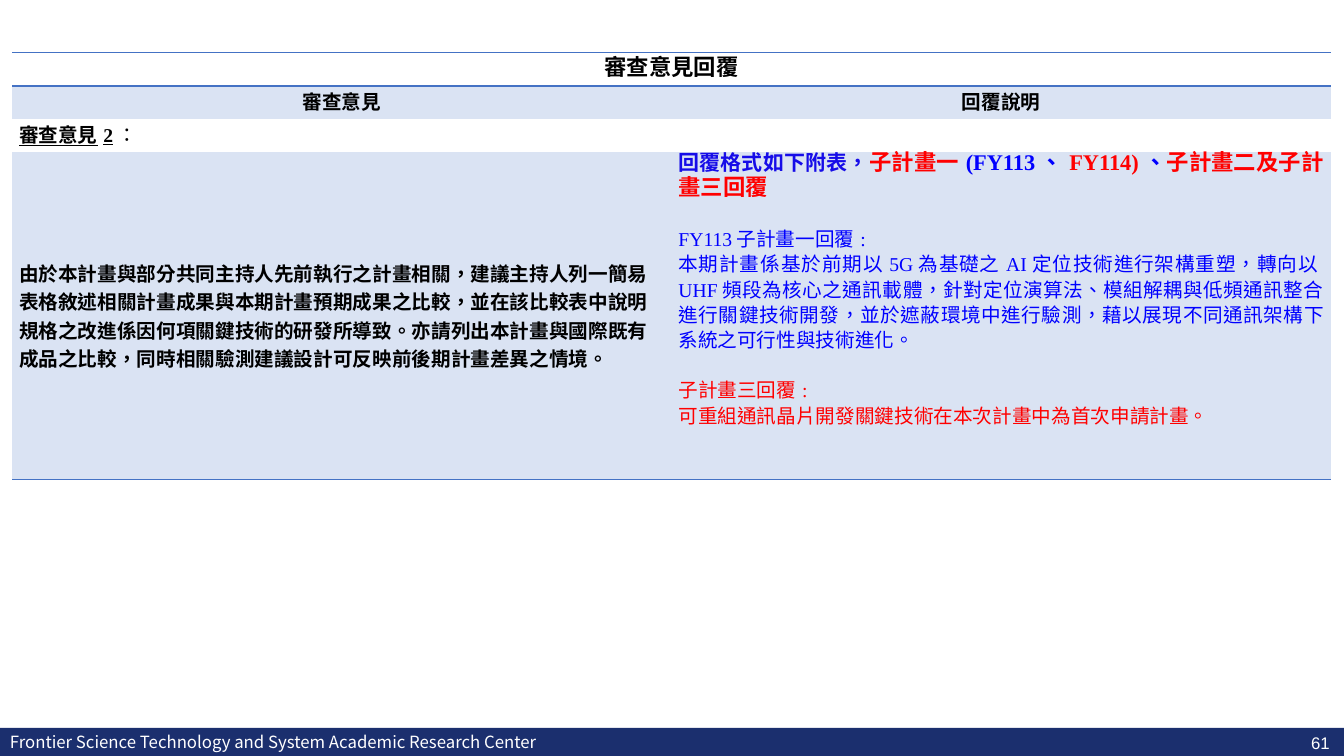
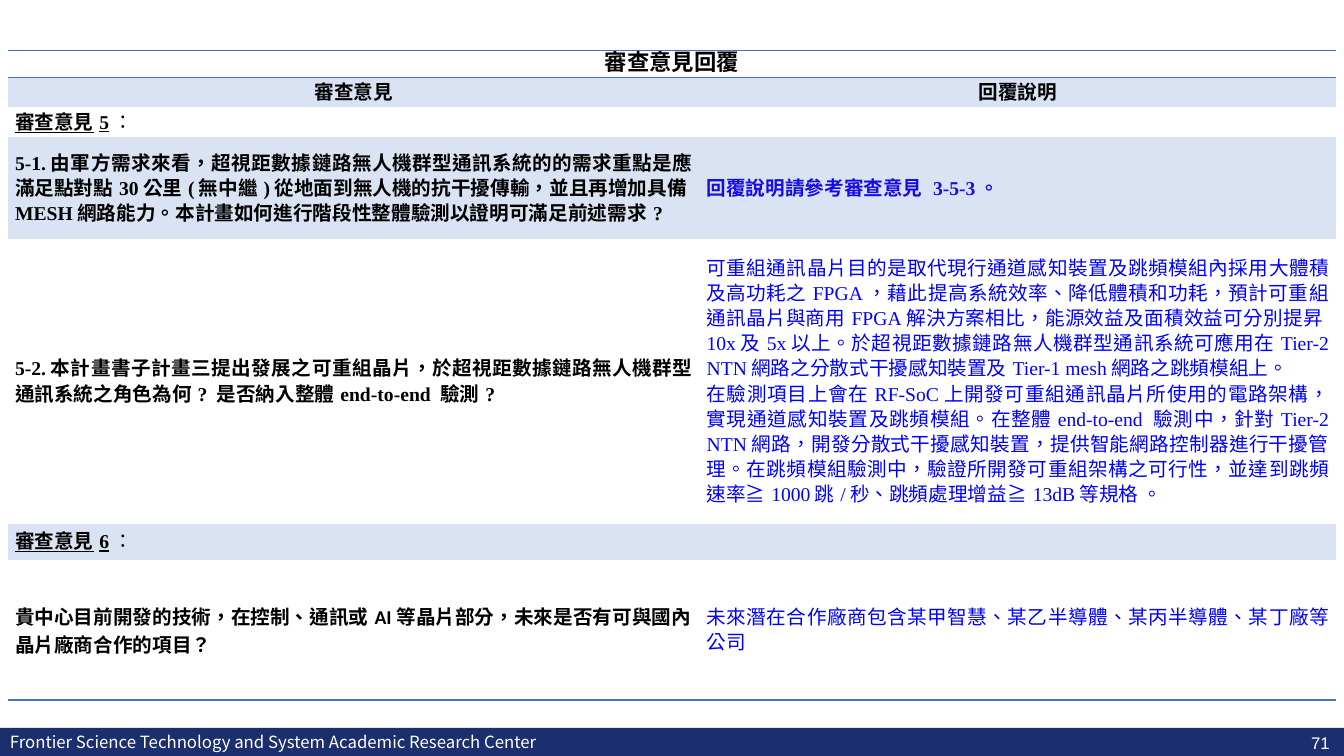
from dataclasses import dataclass

import lxml.etree
import pptx
import pptx.dml.color
import pptx.enum.lang
import pptx.enum.shapes
import pptx.enum.text
import pptx.oxml.ns
import pptx.util

Pt = pptx.util.Pt
Align = pptx.enum.text.PP_ALIGN
Anchor = pptx.enum.text.MSO_ANCHOR


# Theme: colours, fonts, sizes and spacing used on every slide
@dataclass(frozen=True)
class Theme:
    navy: str = "1B2F6E"
    rule: str = "4472C4"
    shade: str = "DAE3F3"
    white: str = "FFFFFF"
    black: str = "000000"
    blue: str = "0000FF"
    indigo: str = "160CE8"
    red: str = "FF0000"
    serif: str = "Times New Roman"
    sans: str = "Calibri"
    cjk: str = "Noto Sans CJK SC"
    number: str = "Arial"
    title_size: float = 16
    lead_size: float = 15
    body_size: float = 14
    footer_size: float = 12
    line: float = 18
    cell_margin: float = 5
    rule_width: float = 1


THEME = Theme()
WIDTH, HEIGHT = 960, 540
PLAIN_TABLE_STYLE = "{2D5ABB26-0587-4C30-8999-92F81FD0307C}"


@dataclass(frozen=True)
class Span:
    text: str
    color: str = THEME.black
    size: float = THEME.body_size
    bold: bool = True
    underline: bool = False
    font: str = THEME.serif


@dataclass(frozen=True)
class Line:
    spans: tuple[Span, ...]
    align: Align = Align.JUSTIFY
    spacing: float | None = THEME.line
    before: float = 0


@dataclass(frozen=True)
class Row:
    height: float
    left: tuple[Line, ...]
    right: tuple[Line, ...] = ()
    right_anchor: Anchor = Anchor.MIDDLE


@dataclass(frozen=True)
class ReviewSlide:
    number: int
    left: float
    top: float
    columns: tuple[float, float]
    rows: tuple[Row, ...]


# Kinds of line
def heading(text: str, font: str, size: float = THEME.body_size) -> tuple[Line, ...]:
    return (Line((Span(text, size=size, font=font),), Align.CENTER),)


def topic(number: int) -> tuple[Line, ...]:
    return (Line((Span(f"審查意見{number}", underline=True), Span("：", bold=False))),)


def question(text: str) -> tuple[Line, ...]:
    return (Line((Span(text),)),)


def open_question(text: str) -> tuple[Line, ...]:
    return (Line((Span(text, font=THEME.sans),), Align.LEFT, None),)


def reply(text: str, color: str = THEME.blue, before: float = 0) -> Line:
    return Line((Span(text, color, bold=False),), before=before)


def header_rows(title_height: float, header_height: float, font: str) -> tuple[Row, ...]:
    return (
        Row(title_height, heading("審查意見回覆", font, THEME.title_size)),
        Row(header_height, heading("審查意見", font), heading("回覆說明", font)),
    )


# Content
def lead(text: str, color: str) -> Span:
    return Span(text, color, THEME.title_size)


SLIDES = (
    ReviewSlide(61, 8.64, 37.4, (471, 471), (
        *header_rows(24, 24, THEME.cjk),
        Row(23, topic(2)),
        Row(
            234,
            open_question(
                "由於本計畫與部分共同主持人先前執行之計畫相關，建議主持人列一簡易表格敘述相關計畫成果"
                "與本期計畫預期成果之比較，並在該比較表中說明規格之改進係因何項關鍵技術的研發所導致。"
                "亦請列出本計畫與國際既有成品之比較，同時相關驗測建議設計可反映前後期計畫差異之情境。"
            ),
            (
                Line((
                    Span("回覆格式如下附表，", THEME.indigo, THEME.lead_size),
                    lead("子計畫一", THEME.red),
                    lead("(FY113、", THEME.blue),
                    lead("FY114)", THEME.red),
                    lead("、", THEME.blue),
                    lead("子計畫二及子計畫三回覆", THEME.red),
                )),
                reply("FY113子計畫一回覆:", before=THEME.line),
                reply(
                    "本期計畫係基於前期以5G為基礎之AI定位技術進行架構重塑，轉向以UHF頻段為核心之通訊載體，"
                    "針對定位演算法、模組解耦與低頻通訊整合進行關鍵技術開發，並於遮蔽環境中進行驗測，"
                    "藉以展現不同通訊架構下系統之可行性與技術進化。"
                ),
                reply("子計畫三回覆:", THEME.red, THEME.line),
                reply("可重組通訊晶片開發關鍵技術在本次計畫中為首次申請計畫。", THEME.red),
            ),
            Anchor.TOP,
        ),
    )),
    ReviewSlide(71, 5.76, 36, (494, 454.5), (
        *header_rows(19.5, 21, THEME.serif),
        Row(21, topic(5)),
        Row(
            73,
            question(
                "5-1.由軍方需求來看，超視距數據鏈路無人機群型通訊系統的的需求重點是應滿足點對點30公里"
                "(無中繼)從地面到無人機的抗干擾傳輸，並且再增加具備MESH網路能力。"
                "本計畫如何進行階段性整體驗測以證明可滿足前述需求?"
            ),
            (Line((Span("回覆說明請參考審查意見 3-5-3。", THEME.indigo),)),),
        ),
        Row(
            203,
            question(
                "5-2.本計畫書子計畫三提出發展之可重組晶片，於超視距數據鏈路無人機群型通訊系統之角色為何? "
                "是否納入整體end-to-end 驗測?"
            ),
            (
                reply(
                    "可重組通訊晶片目的是取代現行通道感知裝置及跳頻模組內採用大體積及高功耗之FPGA，"
                    "藉此提高系統效率、降低體積和功耗，預計可重組通訊晶片與商用FPGA解決方案相比，"
                    "能源效益及面積效益可分別提昇10x及5x以上。於超視距數據鏈路無人機群型通訊系統可應用在"
                    "Tier-2 NTN網路之分散式干擾感知裝置及Tier-1 mesh網路之跳頻模組上。"
                ),
                reply(
                    "在驗測項目上會在RF-SoC上開發可重組通訊晶片所使用的電路架構，實現通道感知裝置及跳頻模組。"
                    "在整體end-to-end 驗測中，針對Tier-2 NTN網路，開發分散式干擾感知裝置，"
                    "提供智能網路控制器進行干擾管理。在跳頻模組驗測中，驗證所開發可重組架構之可行性，"
                    "並達到跳頻速率≧1000跳/秒、跳頻處理增益≧13dB等規格 。"
                ),
            ),
        ),
        Row(26, topic(6)),
        Row(
            100,
            open_question(
                "貴中心目前開發的技術，在控制、通訊或AI等晶片部分，未來是否有可與國內晶片廠商合作的項目？"
            ),
            (reply("未來潛在合作廠商包含某甲智慧、某乙半導體、某丙半導體、某丁廠等公司"),),
        ),
    )),
)


# Text
def rgb(color: str) -> pptx.dml.color.RGBColor:
    return pptx.dml.color.RGBColor.from_string(color)


def add_span(paragraph, span: Span) -> None:
    run = paragraph.add_run()
    run.text = span.text
    font = run.font
    font.name, font.size = span.font, Pt(span.size)
    font.bold, font.underline = span.bold, span.underline
    font.color.rgb = rgb(span.color)
    font.language_id = pptx.enum.lang.MSO_LANGUAGE_ID.TRADITIONAL_CHINESE
    properties = run._r.get_or_add_rPr()
    east_asian = lxml.etree.SubElement(properties, pptx.oxml.ns.qn("a:ea"))
    east_asian.set("typeface", THEME.cjk)


def write_lines(text_frame, lines: tuple[Line, ...]) -> None:
    text_frame.paragraphs[0].line_spacing = Pt(THEME.line)
    for index, line in enumerate(lines):
        paragraph = text_frame.add_paragraph() if index else text_frame.paragraphs[0]
        paragraph.alignment = line.align
        paragraph.line_spacing = Pt(line.spacing) if line.spacing else None
        paragraph.space_before = Pt(line.before)
        for span in line.spans:
            add_span(paragraph, span)


# Review table
def add_rule(cell, side: str) -> None:
    qn = pptx.oxml.ns.qn
    properties = cell._tc.get_or_add_tcPr()
    border = lxml.etree.SubElement(properties, qn(f"a:ln{side}"), w=str(Pt(THEME.rule_width)))
    fill = lxml.etree.SubElement(border, qn("a:solidFill"))
    lxml.etree.SubElement(fill, qn("a:srgbClr"), val=THEME.rule)


def format_cell(cell, lines: tuple[Line, ...], anchor: Anchor, rules: str, shaded: bool) -> None:
    cell.margin_left = cell.margin_right = Pt(THEME.cell_margin)
    cell.margin_top = cell.margin_bottom = 0
    cell.vertical_anchor = anchor
    for side in rules:
        add_rule(cell, side)
    if shaded:
        cell.fill.solid()
        cell.fill.fore_color.rgb = rgb(THEME.shade)
    else:
        cell.fill.background()
    write_lines(cell.text_frame, lines)


def add_review_table(slide, review: ReviewSlide) -> None:
    height = sum(row.height for row in review.rows)
    frame = slide.shapes.add_table(
        len(review.rows), 2, Pt(review.left), Pt(review.top), Pt(sum(review.columns)), Pt(height)
    )
    table = frame.table
    table.first_row = table.horz_banding = False
    frame.element.find(".//" + pptx.oxml.ns.qn("a:tableStyleId")).text = PLAIN_TABLE_STYLE
    for column, width in zip(table.columns, review.columns):
        column.width = Pt(width)
    table.cell(0, 0).merge(table.cell(0, 1))
    last = len(review.rows) - 1
    for index, row in enumerate(review.rows):
        table.rows[index].height = Pt(row.height)
        rules = "TB" if index == 0 else "B" if index == last else ""
        shaded = index % 2 == 1
        format_cell(table.cell(index, 0), row.left, Anchor.MIDDLE, rules, shaded)
        format_cell(table.cell(index, 1), row.right, row.right_anchor, rules, shaded)


# Footer
def add_label(slide, box: tuple[float, ...], text: str, font: str, align: Align, wrap: bool):
    shape = slide.shapes.add_textbox(*map(Pt, box))
    shape.text_frame.word_wrap = wrap
    shape.text_frame.vertical_anchor = Anchor.MIDDLE if wrap else Anchor.TOP
    span = Span(text, THEME.white, THEME.footer_size, False, font=font)
    write_lines(shape.text_frame, (Line((span,), align, None),))
    return shape


def move_footer_to_layout(slide, layout) -> None:
    for placeholder in list(layout.placeholders):
        layout.shapes.element.remove(placeholder.element)
    band = slide.shapes.add_shape(
        pptx.enum.shapes.MSO_SHAPE.RECTANGLE, 0, Pt(520), Pt(WIDTH), Pt(HEIGHT - 520)
    )
    band.shadow.inherit = False
    band.fill.solid()
    band.fill.fore_color.rgb = rgb(THEME.navy)
    band.line.fill.background()
    center_name = add_label(
        slide, (0, 519, 397, 21.6),
        "Frontier Science Technology and System Academic Research Center",
        THEME.cjk, Align.LEFT, False,
    )
    for shape in (band, center_name):
        layout.shapes.element.append(shape.element)


def main() -> None:
    presentation = pptx.Presentation()
    presentation.slide_width, presentation.slide_height = Pt(WIDTH), Pt(HEIGHT)
    layout = presentation.slide_layouts[6]
    for index, review in enumerate(SLIDES):
        slide = presentation.slides.add_slide(layout)
        if index == 0:
            move_footer_to_layout(slide, layout)
        add_label(slide, (922, 518, 42.5, 25), str(review.number), THEME.number, Align.CENTER, True)
        add_review_table(slide, review)
    presentation.save("out.pptx")


if __name__ == "__main__":
    main()
